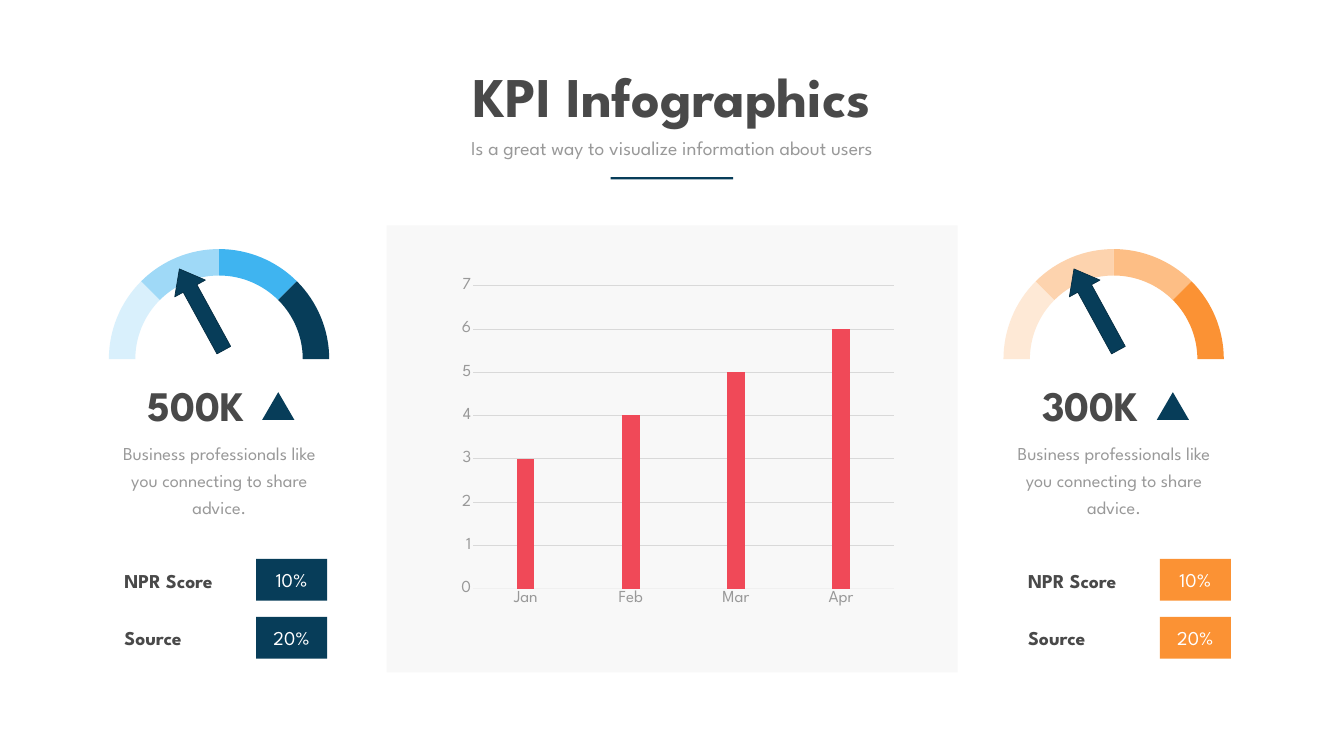
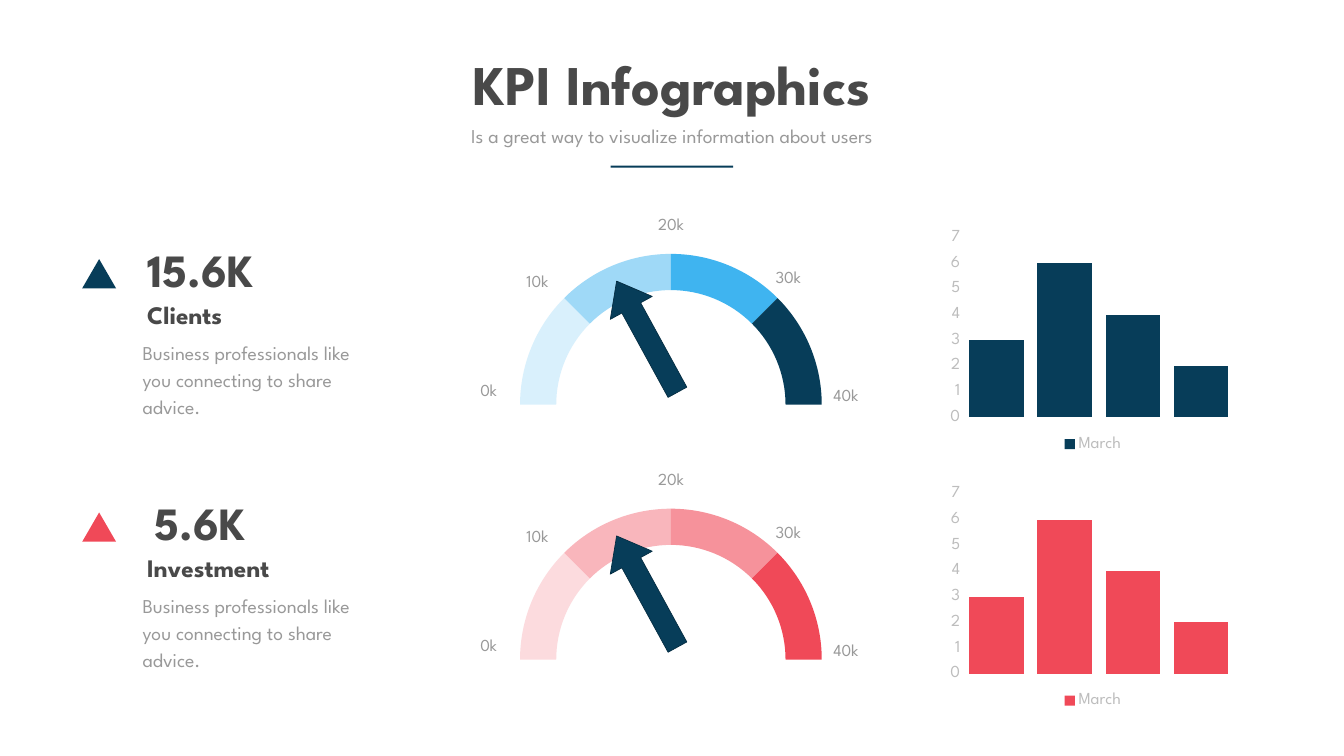
from math import cos, pi, sin, tan

from lxml.etree import SubElement
from pptx import Presentation
from pptx.chart.data import CategoryChartData
from pptx.dml.color import RGBColor
from pptx.enum.chart import XL_CHART_TYPE, XL_LEGEND_POSITION, XL_TICK_MARK
from pptx.enum.shapes import MSO_SHAPE
from pptx.enum.text import MSO_ANCHOR, MSO_AUTO_SIZE, PP_ALIGN
from pptx.oxml import parse_xml
from pptx.oxml.ns import nsdecls, qn
from pptx.util import Pt

FONT = "League Spartan"
DARK, GRAY, PALE, WHITE = "494949", "999999", "BDBDBD", "FFFFFF"
NAVY, ORANGE, RED = "073D59", "FB9234", "F04958"
BLUES = ["D9F0FC", "9FD9F7", "3FB4F0", NAVY]
ORANGES = ["FEE9D6", "FDD3AE", "FDBE85", ORANGE]
REDS = ["FCDBDE", "F9B6BC", "F6929B", RED]
ADVICE = "Business professionals like you connecting to share advice."


def color(value):
    """Turn a hex string into an RGB colour."""
    return RGBColor.from_string(value)


def arc(center_x, center_y, radius, start, end):
    """Return the four Bezier points of an arc between two angles."""
    pull = 4 / 3 * tan((end - start) / 4)
    points = []
    for angle, bend in ((start, 0), (start, pull), (end, -pull), (end, 0)):
        x = cos(angle) - bend * sin(angle)
        y = sin(angle) + bend * cos(angle)
        points.append((Pt(center_x + radius * x), Pt(center_y - radius * y)))
    return points


def bend_sides(shape):
    """Join the first and last three sides of a freeform into curves."""
    sides = list(shape._element.iter(qn("a:lnTo")))
    for group in (sides[:3], sides[4:]):
        curve = SubElement(group[0].getparent(), qn("a:cubicBezTo"))
        group[0].addprevious(curve)
        for side in group:
            curve.append(side[0])
            side.getparent().remove(side)


class Deck:
    """Hold the shared style and the current slide."""

    def __init__(self):
        self.presentation = Presentation()
        self.presentation.slide_width = Pt(1920)
        self.presentation.slide_height = Pt(1080)
        self.slide = None

    def style(self, font, size, fill, bold=None):
        """Give a font the deck's typeface, a size and a colour."""
        font.name = FONT
        font.size = Pt(size)
        font.color.rgb = color(fill)
        if bold is not None:
            font.bold = bold

    def add_slide(self, top):
        """Start a slide with the title, subtitle and rule."""
        self.slide = self.presentation.slides.add_slide(self.presentation.slide_layouts[6])
        self.text("KPI Infographics", 639, top, 641.5, 104.4, 80, DARK, True,
                  PP_ALIGN.CENTER, wrap=False)
        self.text("Is a great way to visualize information about users",
                  615.5, top + 106.5, 688.5, 41, 28, align=PP_ALIGN.CENTER)
        self.shape(MSO_SHAPE.RECTANGLE, 872.5, top + 169, 175, 3, NAVY)

    def text(self, words, left, top, width, height, size, fill=GRAY, bold=False,
             align=PP_ALIGN.LEFT, spacing=None, wrap=True):
        """Add a text box with one paragraph."""
        box = self.slide.shapes.add_textbox(Pt(left), Pt(top), Pt(width), Pt(height))
        frame = box.text_frame
        frame.text = words
        frame.word_wrap = wrap
        frame.auto_size = MSO_AUTO_SIZE.SHAPE_TO_FIT_TEXT
        paragraph = frame.paragraphs[0]
        paragraph.alignment = align
        if spacing:
            paragraph.line_spacing = Pt(spacing)
        self.style(paragraph.runs[0].font, size, fill, bold)

    def paint(self, shape, fill):
        """Fill a shape and drop its line and shadow."""
        shape.shadow.inherit = False
        shape.fill.solid()
        shape.fill.fore_color.rgb = color(fill)
        shape.line.fill.background()

    def shape(self, kind, left, top, width, height, fill, alpha=None, parent=None):
        """Add a filled preset shape."""
        shapes = (parent or self.slide).shapes
        shape = shapes.add_shape(kind, Pt(left), Pt(top), Pt(width), Pt(height))
        self.paint(shape, fill)
        if alpha:
            rgb = shape.fill._xPr.find(qn("a:solidFill"))[0]
            SubElement(rgb, qn("a:alpha")).set("val", str(alpha * 1000))
        return shape

    def badge(self, words, left, top, fill):
        """Add a coloured rectangle with a centred value."""
        shape = self.shape(MSO_SHAPE.RECTANGLE, left, top, 101.5, 59.5, fill)
        frame = shape.text_frame
        frame.text = words
        frame.vertical_anchor = MSO_ANCHOR.MIDDLE
        frame.paragraphs[0].alignment = PP_ALIGN.CENTER
        self.style(frame.paragraphs[0].runs[0].font, 28, WHITE)

    def gauge(self, center_x, center_y, radius, fills):
        """Add a half ring of four equal segments and its needle."""
        group = self.slide.shapes.add_group_shape()
        for index, fill in enumerate(fills):
            start = pi - pi / 4 * index
            end = start - pi / 4
            points = arc(center_x, center_y, radius, start, end)
            points += arc(center_x, center_y, radius * 0.76, end, start)
            builder = group.shapes.build_freeform(*points[0])
            builder.add_line_segments(points[1:])
            segment = builder.convert_to_shape()
            bend_sides(segment)
            self.paint(segment, fill)
        width, height = radius * 0.317, radius * 0.84
        needle = self.shape(MSO_SHAPE.UP_ARROW, center_x - radius * 0.158 - width / 2,
                            center_y - radius * 0.451 - height / 2, width, height,
                            NAVY, parent=group)
        needle.adjustments[0] = 0.447
        needle.adjustments[1] = 0.638
        needle.rotation = 331.3
        needle.line.color.rgb = color("052D42")
        needle.line.width = Pt(1)

    def chart(self, left, top, width, height, categories, name, values, fill, gap, axis_fill):
        """Add a stacked column chart with one series."""
        data = CategoryChartData()
        data.categories = categories
        data.add_series(name, values)
        chart = self.slide.shapes.add_chart(XL_CHART_TYPE.COLUMN_STACKED, Pt(left), Pt(top),
                                            Pt(width), Pt(height), data).chart
        chart.has_title = False
        chart.has_legend = False
        self.style(chart.font, 24, GRAY)
        plot = chart.plots[0]
        plot.gap_width = gap
        plot.overlap = 100
        plot.vary_by_categories = False
        plot.series[0].format.fill.solid()
        plot.series[0].format.fill.fore_color.rgb = color(fill)
        axis = chart.value_axis
        axis.minimum_scale, axis.maximum_scale, axis.major_unit = 0, 7, 1
        axis.has_major_gridlines = False
        axis.format.line.fill.background()
        self.style(axis.tick_labels.font, 24, axis_fill)
        for each in (axis, chart.category_axis):
            each.major_tick_mark = XL_TICK_MARK.NONE
            each.minor_tick_mark = XL_TICK_MARK.NONE
        return chart

    def rule_axes(self, chart):
        """Draw the gridlines and the category line of a chart."""
        chart.value_axis.has_major_gridlines = True
        self.style(chart.category_axis.tick_labels.font, 24, GRAY)
        for line, fill in ((chart.value_axis.major_gridlines.format.line, "D9D9D9"),
                           (chart.category_axis.format.line, "F0F0F0")):
            line.color.rgb = color(fill)
            line.width = Pt(0.75)

    def place_plot(self, chart, x, y, w, h):
        """Fix the inner plot area as fractions of the chart."""
        area = chart._chartSpace.chart.plotArea
        for layout in area.findall(qn("c:layout")):
            area.remove(layout)
        sizes = "".join(f'<c:{key} val="{value}"/>'
                        for key, value in (("x", x), ("y", y), ("w", w), ("h", h)))
        area.insert(0, parse_xml(
            f'<c:layout {nsdecls("c")}><c:manualLayout><c:layoutTarget val="inner"/>'
            f'<c:xMode val="edge"/><c:yMode val="edge"/>{sizes}</c:manualLayout></c:layout>'))

    def legend(self, chart):
        """Show the legend below and hide the category axis."""
        chart.category_axis.visible = False
        chart.has_legend = True
        chart.legend.position = XL_LEGEND_POSITION.BOTTOM
        chart.legend.include_in_layout = False
        self.style(chart.legend.font, 24, PALE)


def build_monthly_slide(deck):
    """Build the slide with a monthly chart between two gauges."""
    deck.add_slide(84.2)
    deck.shape(MSO_SHAPE.RECTANGLE, 552.2, 322, 815.8, 638.6, "F2F2F2", alpha=50)
    chart = deck.chart(625, 387.3, 670.3, 506.9, ["Jan", "Feb", "Mar", "Apr"], "Series 1",
                       [3, 4, 5, 6], RED, 500, GRAY)
    deck.rule_axes(chart)
    deck.place_plot(chart, 0.076, 0.041, 0.896, 0.854)
    for figure, shift, score_shift, fills in (("500K", 0, 0, BLUES),
                                              ("300K", 1278, 1291, ORANGES)):
        deck.gauge(312.9 + shift, 513.2, 157.4, fills)
        deck.text(figure, 203.8 + shift, 538, 276, 80, 60, DARK, True)
        deck.shape(MSO_SHAPE.ISOSCELES_TRIANGLE, 374.5 + shift, 560.2, 46, 39.6, NAVY)
        deck.text(ADVICE, 157.5 + shift, 620.6, 312, 121.5, 26,
                  align=PP_ALIGN.CENTER, spacing=38.6)
        for row, (label, value, width) in enumerate((("NPR Score", "10%", 191.5),
                                                     ("Source", "20%", 220.3))):
            deck.text(label, 170.6 + score_shift, 809.2 + row * 80.8, width, 41, 28, DARK, True)
            deck.badge(value, 365.8 + score_shift, 798.5 + row * 82.8, fills[-1])


def build_comparison_slide(deck):
    """Build the slide with a row for clients and one for investment."""
    deck.add_slide(67.5)
    marks = (("0k", 679, 538.5, PP_ALIGN.LEFT), ("10k", 745, 383, PP_ALIGN.LEFT),
             ("20k", 908.6, 301.6, PP_ALIGN.CENTER), ("30k", 1100.8, 377.4, PP_ALIGN.LEFT),
             ("40k", 1183.6, 545.9, PP_ALIGN.LEFT))
    rows = (("15.6K", 185, "Clients", 159, BLUES), ("5.6K", 149, "Investment", 227.5, REDS))
    for row, (figure, figure_width, label, label_width, fills) in enumerate(rows):
        shift, gauge_shift = row * 362, row * 364
        deck.gauge(958.4, 578.2, 215.5, fills) if row == 0 else deck.gauge(
            958.4, 578.2 + gauge_shift, 215.5, fills)
        for mark, left, top, align in marks:
            deck.text(mark, left, top + gauge_shift, 100, 36, 24, align=align)
        deck.text(label, 203, 424 + shift, label_width, 51, 36, DARK, True)
        deck.text(figure, 286.6 - figure_width / 2, 341.3 + shift, figure_width, 87, 66,
                  DARK, True, PP_ALIGN.CENTER, wrap=False)
        deck.shape(MSO_SHAPE.ISOSCELES_TRIANGLE, 117.5, 370.1 + shift, 48.3, 41.7, fills[-1])
        deck.text(ADVICE, 196.6, 478 + shift, 355, 121.5, 28, spacing=38.6)
        chart = deck.chart(1349.2, 321.9 + row * 366.4, 424, 328.3, ["1", "2", "3", "4"],
                           "March", [3, 6, 4, 2], fills[-1], 25, PALE)
        deck.legend(chart)


def main():
    """Build both slides and save the presentation."""
    deck = Deck()
    build_monthly_slide(deck)
    build_comparison_slide(deck)
    deck.presentation.save("out.pptx")


if __name__ == "__main__":
    main()
